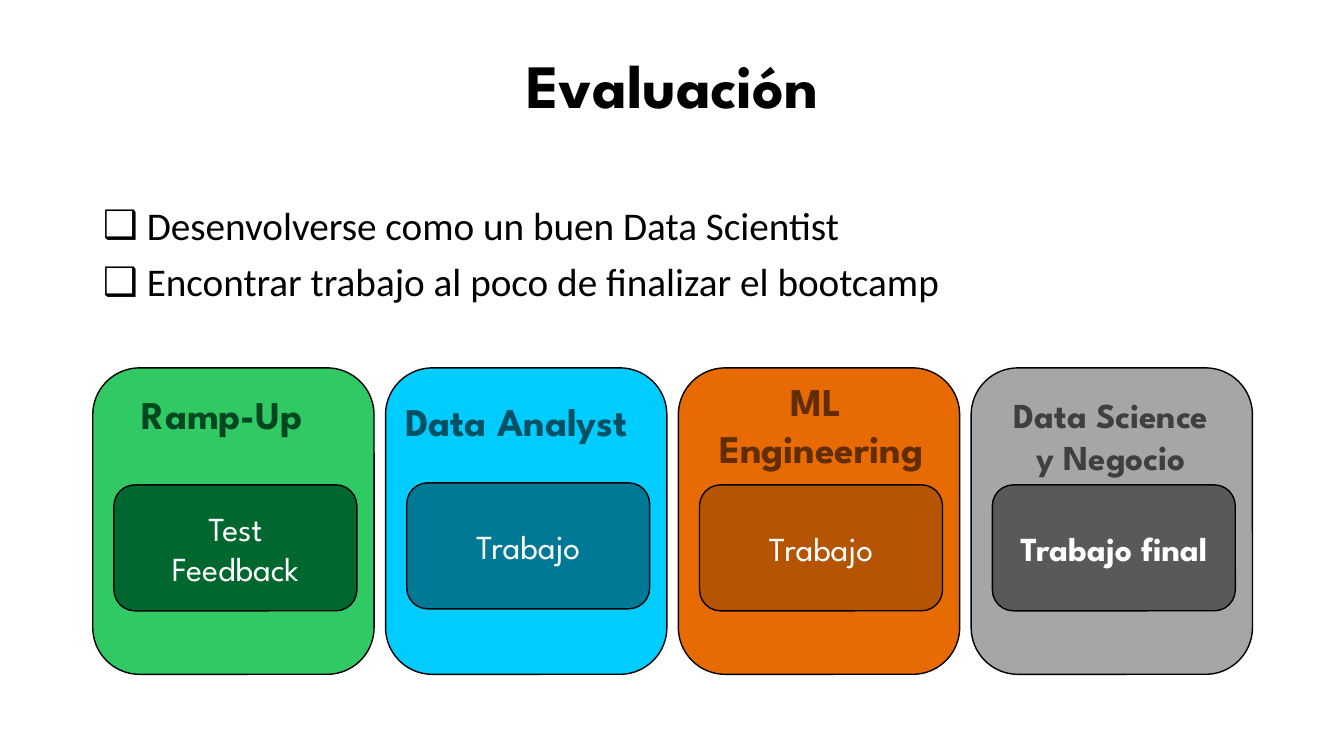
import pptx
import pptx.dml.color
import pptx.enum.shapes
import pptx.enum.text
import pptx.oxml.ns
import pptx.util
from lxml import etree
from pptx.util import Inches

COLORS = {
    "text": "000000", "light": "FFFFFF", "outline": "000000",
    "green": "31C964", "green_dark": "00682F", "green_text": "004620",
    "blue": "00CCFF", "blue_dark": "007996", "blue_text": "005164",
    "orange": "E76A03", "orange_dark": "B55403", "orange_text": "622D02",
    "gray": "A6A6A6", "gray_dark": "595959", "gray_text": "3F3F3F",
}
HEADING_FONT = "League Spartan"
BODY_FONT = "Calibri"
ALIGN = pptx.enum.text.PP_ALIGN
ANCHOR = pptx.enum.text.MSO_ANCHOR
AUTO_SIZE = pptx.enum.text.MSO_AUTO_SIZE

CARD_LEFT, CARD_TOP, CARD_STEP = 0.92, 3.65, 2.904
CARD_WIDTH, CARD_HEIGHT = 2.79, 3.04
TASK_INSET, TASK_WIDTH, TASK_HEIGHT = 0.21, 2.41, 1.25

GOALS = [
    " Desenvolverse como un buen Data Scientist",
    " Encontrar trabajo al poco de finalizar el bootcamp",
]
# color, heading lines, heading box, heading size, alignment, task lines, task top, task bold
MODULES = [
    ("green", ["Ramp-Up"], (1.31, 3.82, 1.99, 0.57), 28, ALIGN.LEFT,
     ["Test", "Feedback"], 4.81, False),
    ("blue", ["Data Analyst"], (3.92, 3.89, 2.62, 0.57), 28, ALIGN.LEFT,
     ["Trabajo"], 4.79, False),
    ("orange", ["ML ", "Engineering"], (6.92, 3.69, 2.45, 1.04), 28, ALIGN.CENTER,
     ["Trabajo"], 4.81, False),
    ("gray", ["Data Science", "y Negocio"], (9.75, 3.86, 2.54, 0.94), 25, ALIGN.CENTER,
     ["Trabajo final"], 4.81, True),
]


def rgb(name):
    return pptx.dml.color.RGBColor.from_string(COLORS[name])


def write_lines(text_frame, lines, size, color, align, font=HEADING_FONT, bold=False):
    """Write one paragraph per line, each with a single formatted run."""
    for index, line in enumerate(lines):
        paragraph = text_frame.paragraphs[0] if index == 0 else text_frame.add_paragraph()
        paragraph.alignment = align
        run = paragraph.add_run()
        run.text = line
        run.font.name = font
        run.font.size = pptx.util.Pt(size)
        run.font.bold = bold
        run.font.color.rgb = rgb(color)


def place(shape, left, top, width, height):
    shape.left, shape.top = Inches(left), Inches(top)
    shape.width, shape.height = Inches(width), Inches(height)


def add_title(slide, text):
    title = slide.shapes.title
    place(title, 0.92, 0.15, 11.5, 1.45)
    title.text_frame.vertical_anchor = ANCHOR.MIDDLE
    title.text_frame.auto_size = AUTO_SIZE.NONE
    write_lines(title.text_frame, [text], 44, "text", ALIGN.CENTER, bold=True)
    title.text_frame.paragraphs[0].line_spacing = 0.9


def add_checklist(slide, lines):
    body = slide.placeholders[1]
    place(body, 0.92, 2, 11.5, 1.49)
    body.text_frame.auto_size = AUTO_SIZE.NONE
    write_lines(body.text_frame, lines, 28, "text", ALIGN.LEFT, font=BODY_FONT)
    for paragraph in body.text_frame.paragraphs:
        paragraph.line_spacing = 0.9
        paragraph.space_before = pptx.util.Pt(10)
        properties = paragraph._p.get_or_add_pPr()
        properties.set("marL", str(Inches(0.25)))
        properties.set("indent", str(Inches(-0.25)))
        bullet = etree.SubElement(properties, pptx.oxml.ns.qn("a:buChar"))
        bullet.set("char", "❑")


def add_rounded_box(slide, left, top, width, height, fill):
    box = slide.shapes.add_shape(
        pptx.enum.shapes.MSO_SHAPE.ROUNDED_RECTANGLE,
        Inches(left), Inches(top), Inches(width), Inches(height))
    box.shadow.inherit = False
    box.fill.solid()
    box.fill.fore_color.rgb = rgb(fill)
    box.line.color.rgb = rgb("outline")
    box.line.width = pptx.util.Pt(1)
    return box


def add_heading(slide, bounds, lines, size, color, align):
    heading = slide.shapes.add_textbox(*map(Inches, bounds))
    heading.text_frame.word_wrap = True
    heading.text_frame.auto_size = AUTO_SIZE.SHAPE_TO_FIT_TEXT
    write_lines(heading.text_frame, lines, size, color, align, bold=True)


def add_module(slide, index, module):
    color, heading, bounds, size, align, task_lines, task_top, task_bold = module
    left = CARD_LEFT + index * CARD_STEP
    add_rounded_box(slide, left, CARD_TOP, CARD_WIDTH, CARD_HEIGHT, color)
    add_heading(slide, bounds, heading, size, f"{color}_text", align)
    task = add_rounded_box(slide, left + TASK_INSET, task_top,
                           TASK_WIDTH, TASK_HEIGHT, f"{color}_dark")
    task.text_frame.vertical_anchor = ANCHOR.MIDDLE
    write_lines(task.text_frame, task_lines, 24, "light", ALIGN.CENTER, bold=task_bold)


def main():
    presentation = pptx.Presentation()
    presentation.slide_width = Inches(13.33)
    presentation.slide_height = Inches(7.5)
    slide = presentation.slides.add_slide(presentation.slide_layouts[1])

    # Title and goals
    add_title(slide, "Evaluación")
    add_checklist(slide, GOALS)

    # Course modules, each with its assessment
    for index, module in enumerate(MODULES):
        add_module(slide, index, module)

    presentation.save("out.pptx")


if __name__ == "__main__":
    main()
